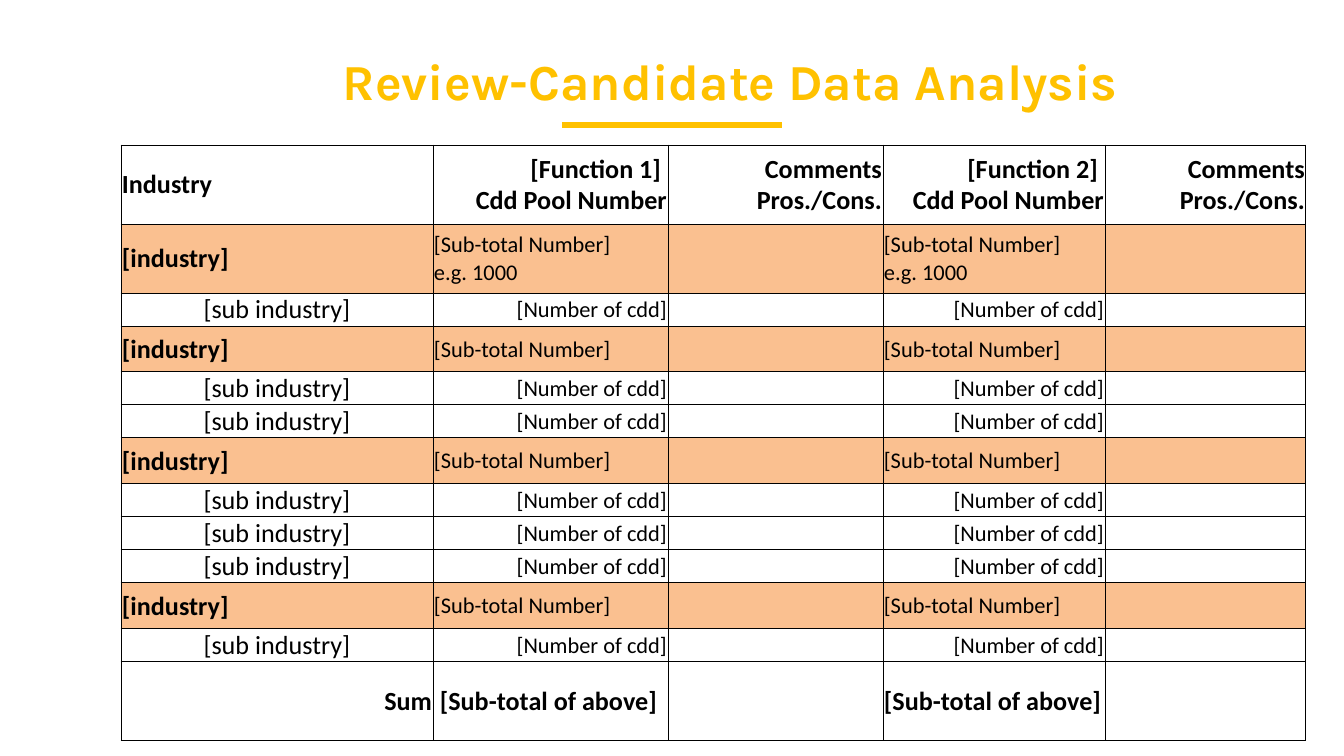
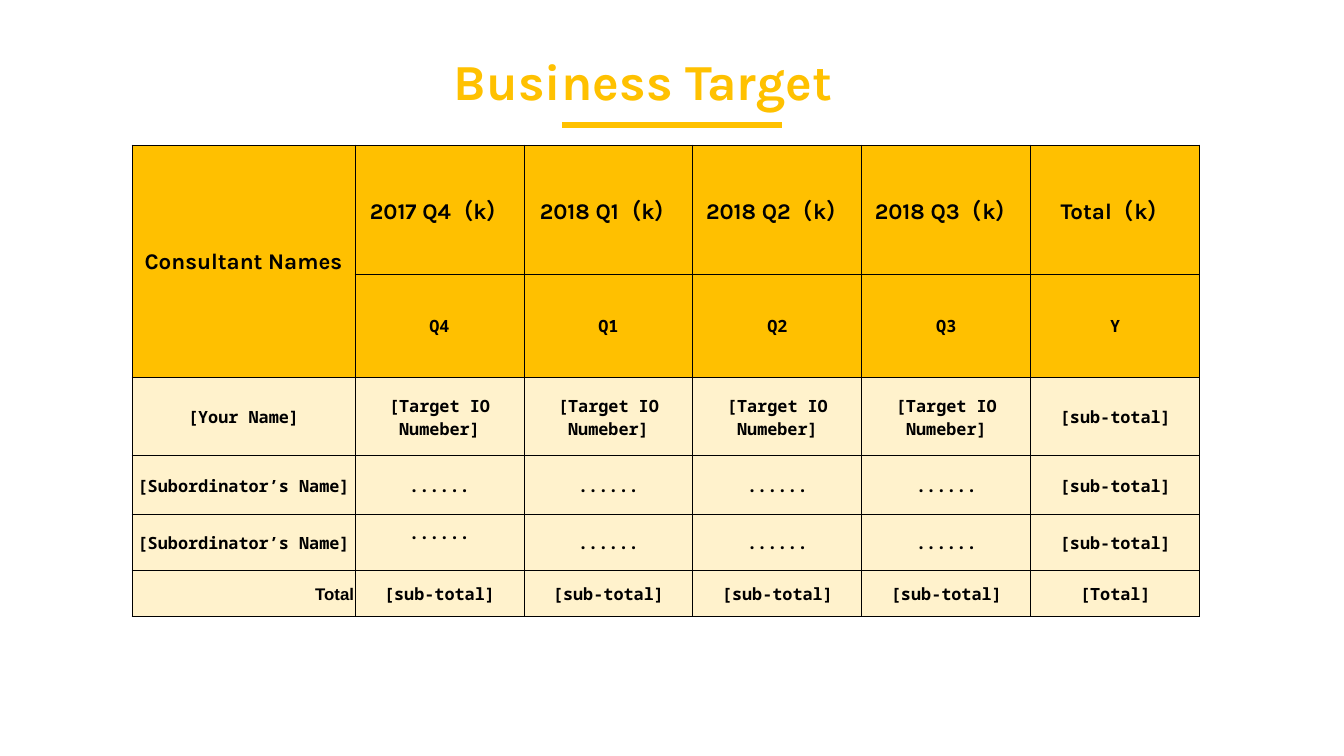
from dataclasses import dataclass
from lxml.etree import SubElement
from pptx import Presentation
from pptx.dml.color import RGBColor
from pptx.enum.shapes import MSO_CONNECTOR
from pptx.enum.text import MSO_ANCHOR as Anchor, MSO_AUTO_SIZE as AutoSize, PP_ALIGN as Align
from pptx.oxml import parse_xml
from pptx.oxml.ns import nsdecls, qn
from pptx.util import Emu, Pt


@dataclass(frozen=True)
class Theme:
    accent: str = "FFC100"
    header: str = "FFC000"
    body: str = "FFF2CC"
    industry: str = "FAC090"
    ink: str = "000000"
    title_font: str = "Karla"
    pool_font: str = "Calibri"
    target_font: str = "Noto Sans Mono"
    total_font: str = "Arial"
    asian_font: str = "Noto Sans CJK SC"
    title_size: int = 27
    large: int = 14
    medium: int = 12
    small: int = 9


THEME = Theme()
LEFT, CENTER, RIGHT = Align.LEFT, Align.CENTER, Align.RIGHT

# Content: candidate pool by industry
POOL_TITLE = "Review-Candidate Data Analysis"
POOL_HEADER = ["Industry", "[Function 1] \nCdd Pool Number", "Comments\nPros./Cons.",
               "[Function 2] \nCdd Pool Number", "Comments\nPros./Cons."]
SUB_INDUSTRY_COUNTS = [1, 2, 3, 1]
SUBTOTAL, EXAMPLE = "[Sub-total Number]", "\ne.g. 1000"
POOL_SUM = ["Sum", " [Sub-total of above]", "", "[Sub-total of above]", ""]

# Content: business target by quarter
TARGET_TITLE = "Business Target"
PERIODS = ["2017 Q4", "2018 Q1", "2018 Q2", "2018 Q3", "Total"]
QUARTERS = ["Q4", "Q1", "Q2", "Q3", "Y"]
CONSULTANTS = [("[Your Name]", "[Target IO Numeber]"),
               ("[Subordinator’s Name]", "......"),
               ("[Subordinator’s Name]", "......")]

# Geometry in px
SLIDE = (1344, 756)
UNDERLINE = (562, 782, 125)
POOL_AT, POOL_COLUMNS = (121, 145), [312, 235, 215, 222, 201]
EDGE_ROW, FIRST_INDUSTRY_ROW, INDUSTRY_ROW, SUB_ROW = 79, 69, 46, 33
TARGET_AT, TARGET_COLUMNS = (132, 145), [223] + [169] * 5
TARGET_ROWS = [129, 104, 78, 59, 56, 46]


def px(length):
    return Emu(round(length * 914400 / 134.4))


def write(frame, text, *, font, size, color=THEME.ink, bold=False, align=LEFT):
    """Fill a text frame, one paragraph for each line of text."""
    frame.word_wrap = True
    frame.text = text
    for paragraph in frame.paragraphs:
        paragraph.alignment = align
        for run in paragraph.runs:
            run.font.name, run.font.size, run.font.bold = font, Pt(size), bold
            run.font.color.rgb = RGBColor.from_string(color)
            SubElement(run.font._element, qn("a:ea"), typeface=THEME.asian_font)
        if not paragraph.runs:
            SubElement(paragraph._p, qn("a:endParaRPr"), sz=str(size * 100))


def add_titled_slide(deck, title, left, width, height):
    slide = deck.slides.add_slide(deck.slide_layouts[5])
    heading = slide.shapes.title
    heading.left, heading.top, heading.width, heading.height = map(px, (left, 50, width, height))
    frame = heading.text_frame
    write(frame, title, font=THEME.title_font, size=THEME.title_size,
          color=THEME.accent, bold=True, align=CENTER)
    frame.vertical_anchor, frame.auto_size = Anchor.TOP, AutoSize.NONE
    frame.paragraphs[0].line_spacing = 0.9
    frame.paragraphs[0].space_before = Pt(7.5)

    start, end, y = map(px, UNDERLINE)
    underline = slide.shapes.add_connector(MSO_CONNECTOR.STRAIGHT, start, y, end, y)
    underline.line.color.rgb = RGBColor.from_string(THEME.accent)
    underline.line.width = Pt(3)
    SubElement(underline._element.spPr, qn("a:effectLst"))
    return slide


def style_cell(cell, fill):
    cell.vertical_anchor = Anchor.MIDDLE
    cell.margin_left = cell.margin_right = cell.margin_top = px(1)
    cell.margin_bottom = 0
    if fill:
        cell.fill.solid()
        cell.fill.fore_color.rgb = RGBColor.from_string(fill)
    else:
        cell.fill.background()
    properties = cell._tc.get_or_add_tcPr()
    for index, side in enumerate("LRTB"):
        properties.insert(index, parse_xml(
            f'<a:ln{side} {nsdecls("a")} w="{Pt(0.5)}"><a:solidFill>'
            f'<a:srgbClr val="{THEME.ink}"/></a:solidFill></a:ln{side}>'))


def add_grid(slide, at, columns, rows):
    """Each row is (height, fill, cells); each cell is (text, format)."""
    heights = [height for height, _, _ in rows]
    table = slide.shapes.add_table(len(rows), len(columns), *map(
        px, (*at, sum(columns), sum(heights)))).table
    table.first_row = table.horz_banding = False
    for column, width in zip(table.columns, columns):
        column.width = px(width)
    for r, (height, fill, cells) in enumerate(rows):
        table.rows[r].height = px(height)
        for c, (text, style) in enumerate(cells):
            cell = table.cell(r, c)
            style_cell(cell, fill)
            write(cell.text_frame, text, **style)
    return table


def pool_rows():
    strong = dict(font=THEME.pool_font, size=THEME.large, bold=True)
    strong_right = dict(strong, align=RIGHT)
    sub_name = dict(strong, bold=False, align=CENTER)
    subtotal = dict(font=THEME.pool_font, size=THEME.medium)
    number = dict(subtotal, align=RIGHT)

    def row(height, fill, texts, first, rest):
        return height, fill, [(text, rest if c else first) for c, text in enumerate(texts)]

    rows = [row(EDGE_ROW, None, POOL_HEADER, strong, strong_right)]
    for i, count in enumerate(SUB_INDUSTRY_COUNTS):
        value = SUBTOTAL if i else SUBTOTAL + EXAMPLE
        height = INDUSTRY_ROW if i else FIRST_INDUSTRY_ROW
        rows.append(row(height, THEME.industry, ["[industry]", value, "", value, ""],
                        strong, subtotal))
        sub = ["[sub industry]", "[Number of cdd]", "", "[Number of cdd]", ""]
        rows += [row(SUB_ROW, None, sub, sub_name, number) for _ in range(count)]
    return rows + [row(EDGE_ROW, None, POOL_SUM, strong_right, strong)]


def target_rows():
    heading = dict(font=THEME.title_font, size=THEME.medium, bold=True, align=CENTER)
    entry = dict(font=THEME.target_font, size=THEME.small, bold=True, align=CENTER)
    total = dict(entry, font=THEME.total_font, align=RIGHT)

    lines = [[("Consultant Names", heading)] + [(f"{period}（k）", heading) for period in PERIODS],
             [("", entry)] + [(quarter, entry) for quarter in QUARTERS]]
    for name, target in CONSULTANTS:
        lines.append([(text, entry) for text in [name] + [target] * 4 + ["[sub-total]"]])
    lines.append([("Total", total)] + [(text, entry) for text in ["[sub-total]"] * 4 + ["[Total]"]])
    fills = [THEME.header] * 2 + [THEME.body] * 4
    return list(zip(TARGET_ROWS, fills, lines))


def main():
    deck = Presentation()
    deck.slide_width, deck.slide_height = map(px, SLIDE)

    # Candidate pool
    pool_slide = add_titled_slide(deck, POOL_TITLE, 301, 858, 128)
    add_grid(pool_slide, POOL_AT, POOL_COLUMNS, pool_rows())

    # Business target
    target_slide = add_titled_slide(deck, TARGET_TITLE, 270, 746, 69)
    targets = add_grid(target_slide, TARGET_AT, TARGET_COLUMNS, target_rows())
    targets.cell(0, 0).merge(targets.cell(1, 0))
    targets.cell(4, 1).margin_bottom = px(20)  # this entry sits higher than its row

    deck.save("out.pptx")


if __name__ == "__main__":
    main()
